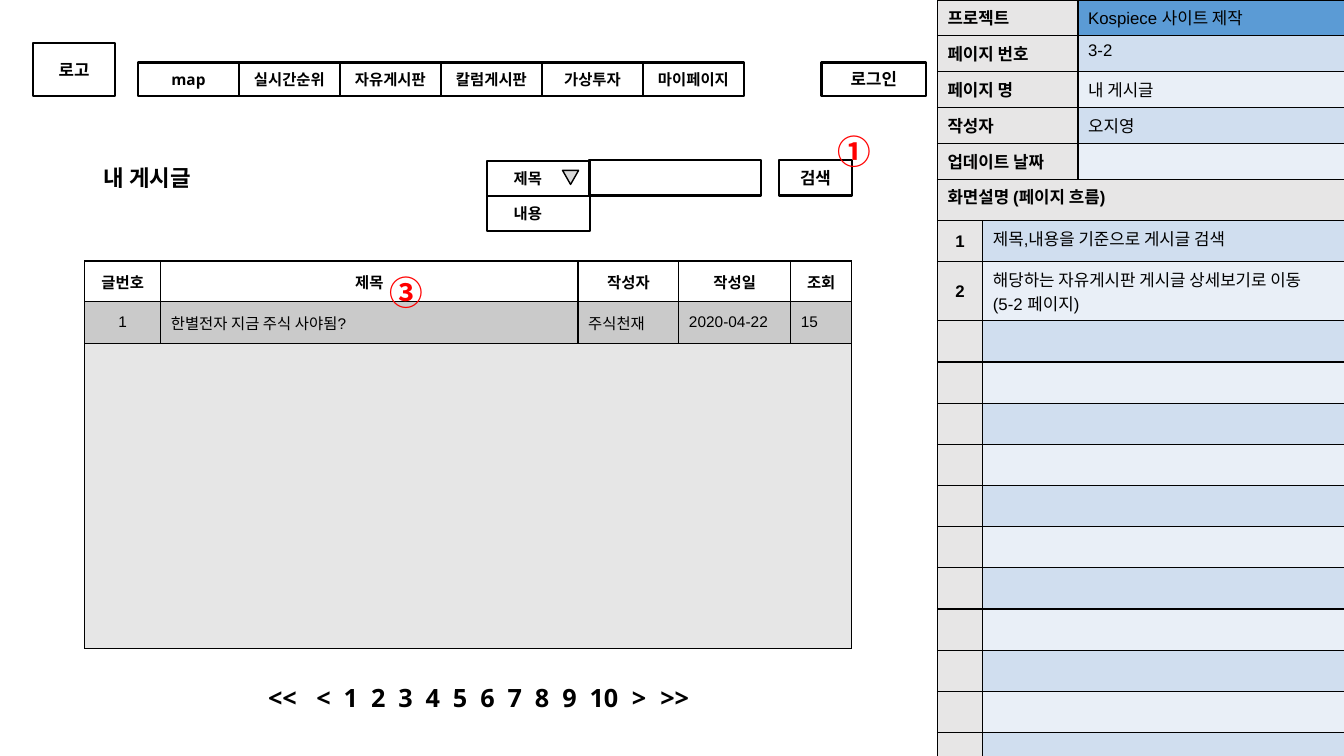
from dataclasses import dataclass

from lxml import etree
from pptx import Presentation
from pptx import util as u
from pptx.dml.color import RGBColor
from pptx.enum import shapes, text
from pptx.oxml import ns

# Grid: every column and row is a tenth of an inch
SLIDE_COLUMNS, SLIDE_ROWS = 133.33, 75

BLACK = RGBColor(0x00, 0x00, 0x00)
WHITE = RGBColor(0xFF, 0xFF, 0xFF)
RED = RGBColor(0xFF, 0x00, 0x00)
LABEL_GRAY = RGBColor(0xE7, 0xE6, 0xE6)
LIST_GRAY = RGBColor(0xE6, 0xE6, 0xE6)
POST_GRAY = RGBColor(0xCA, 0xCA, 0xCA)
ARROW_GRAY = RGBColor(0xD8, 0xD8, 0xD8)
TITLE_BLUE = RGBColor(0x5B, 0x9B, 0xD5)
BAND_DARK = RGBColor(0xD0, 0xDE, 0xEF)
BAND_LIGHT = RGBColor(0xE9, 0xEF, 0xF7)
BANDS = (BAND_DARK, BAND_LIGHT)

ARIAL, OPEN_SANS, KOREAN = "Arial", "Open Sans", "Noto Sans CJK KR"
LEFT, CENTER = text.PP_ALIGN.LEFT, text.PP_ALIGN.CENTER
TOP, MIDDLE = text.MSO_ANCHOR.TOP, text.MSO_ANCHOR.MIDDLE


@dataclass
class Style:
    size: float = 12
    font: str = OPEN_SANS
    bold: bool = True
    color: RGBColor = BLACK
    align: text.PP_ALIGN = CENTER
    anchor: text.MSO_ANCHOR = MIDDLE


@dataclass
class Box:
    words: str
    column: float
    row: float
    width: float
    height: float
    style: Style
    outlined: bool = True
    inset: float = 1
    inset_top: float = 1


@dataclass
class Cell:
    words: str
    fill: RGBColor
    style: Style


def grid(steps: float) -> int:
    return u.Inches(steps / 10)


def write(frame, words: str, style: Style) -> None:
    for index, line in enumerate(words.split("\n")):
        paragraph = frame.paragraphs[0] if index == 0 else frame.add_paragraph()
        paragraph.alignment = style.align
        if not line:
            end = etree.SubElement(paragraph._p, ns.qn("a:endParaRPr"))
            end.set("sz", str(style.size * 100))
            continue
        run = paragraph.add_run()
        run.text = line
        font = run.font
        font.size, font.bold, font.name = u.Pt(style.size), style.bold, style.font
        font.color.rgb = style.color
        east_asian = etree.SubElement(font._element, ns.qn("a:ea"))
        east_asian.set("typeface", KOREAN)


def draw_box(slide, box: Box):
    place = [grid(v) for v in (box.column, box.row, box.width, box.height)]
    if box.outlined:
        shape = slide.shapes.add_shape(shapes.MSO_SHAPE.RECTANGLE, *place)
        shape.shadow.inherit = False
        shape.fill.background()
        shape.line.color.rgb = BLACK
        shape.line.width = u.Pt(1.5)
    else:
        shape = slide.shapes.add_textbox(*place)
    frame = shape.text_frame
    frame.word_wrap = True
    frame.vertical_anchor = box.style.anchor
    frame.margin_left, frame.margin_right = grid(box.inset), grid(1)
    frame.margin_top = frame.margin_bottom = grid(box.inset_top)
    write(frame, box.words, box.style)
    return shape


def draw_borders(cell) -> None:
    properties = cell._tc.get_or_add_tcPr()
    for side in ("lnL", "lnR", "lnT", "lnB"):
        line = etree.SubElement(properties, ns.qn(f"a:{side}"), w=str(u.Pt(1)))
        solid = etree.SubElement(line, ns.qn("a:solidFill"))
        etree.SubElement(solid, ns.qn("a:srgbClr"), val=str(BLACK))


def draw_table(slide, column: float, row: float, widths: list[float],
               heights: list[float], cells: list[list[Cell]]) -> None:
    frame = slide.shapes.add_table(
        len(heights), len(widths), grid(column), grid(row),
        grid(sum(widths)), grid(sum(heights)))
    table = frame.table
    table.first_row = table.horz_banding = False
    for index, width in enumerate(widths):
        table.columns[index].width = grid(width)
    for r, (height, contents) in enumerate(zip(heights, cells)):
        table.rows[r].height = grid(height)
        # A row with a single cell spans the whole table
        if len(contents) == 1:
            table.cell(r, 0).merge(table.cell(r, len(widths) - 1))
        for c in range(len(widths)):
            cell, content = table.cell(r, c), contents[min(c, len(contents) - 1)]
            draw_borders(cell)
            cell.fill.solid()
            cell.fill.fore_color.rgb = content.fill
            if c < len(contents):
                cell.vertical_anchor = content.style.anchor
                write(cell.text_frame, content.words, content.style)


def draw_info(slide) -> None:
    label = Style(font=ARIAL, align=LEFT, anchor=TOP)
    body = Style(font=ARIAL, bold=False, align=LEFT, anchor=TOP)
    number = Style(font=ARIAL)

    # Project facts
    facts = [("프로젝트", "Kospiece 사이트 제작"), ("페이지 번호", "3-2"),
             ("페이지 명", "내 게시글"), ("작성자", "오지영"), ("업데이트 날짜", "")]
    fills = [TITLE_BLUE, *BANDS, *BANDS]
    draw_table(slide, 93, 0, [13.95, 26.4], [3.56] * 5,
               [[Cell(name, LABEL_GRAY, label), Cell(value, fill, body)]
                for (name, value), fill in zip(facts, fills)])

    # Page flow, with empty rows down to the bottom edge
    notes = ["제목,내용을 기준으로 게시글 검색",
             "해당하는 자유게시판 게시글 상세보기로 이동\n(5-2 페이지)"] + [""] * 11
    flow = [[Cell("화면설명 (페이지 흐름)", LABEL_GRAY, label)]]
    for index, note in enumerate(notes):
        flow.append([Cell(str(index + 1) if note else "", LABEL_GRAY, number),
                     Cell(note, BANDS[index % 2], body)])
    draw_table(slide, 93, 17.8, [4.5, 35.85],
               [4.09, 4.09, 5.85] + [4.09] * 10 + [3.2], flow)


def draw_posts(slide) -> None:
    heading = Style(11, ARIAL)
    entry = Style(11, ARIAL, bold=False, align=LEFT)
    number = Style(11, ARIAL, bold=False)
    headings = ["글번호", "제목", "작성자", "작성일", "조회"]
    post = ["1", "한별전자 지금 주식 사야됨?", "주식천재", "2020-04-22", "15"]
    draw_table(slide, 8.4, 25.9, [7.55, 41.4, 10, 11.1, 6.05], [4, 4.2, 30.25], [
        [Cell(words, WHITE, heading) for words in headings],
        [Cell(words, POST_GRAY, entry if index else number)
         for index, words in enumerate(post)],
        [Cell("", LIST_GRAY, entry)]])


def draw_search(slide) -> None:
    option = Style(11, align=LEFT)
    for box in (Box("검색", 77.3, 15.9, 7.2, 3.5, Style()),
                Box("제목", 48.3, 15.95, 10.2, 3.5, option, inset=2.65),
                Box("내용", 48.3, 19.45, 10.2, 3.5, option, inset=2.65),
                Box("", 58.4, 15.9, 17.1, 3.5, Style())):
        draw_box(slide, box)
    arrow = slide.shapes.add_shape(shapes.MSO_SHAPE.ISOSCELES_TRIANGLE,
                                   grid(55.8), grid(16.9), grid(1.6), grid(1.4))
    arrow.rotation = 180
    arrow.shadow.inherit = False
    arrow.fill.solid()
    arrow.fill.fore_color.rgb = ARROW_GRAY
    arrow.line.color.rgb = BLACK
    arrow.line.width = u.Pt(1)


def draw_pager(slide) -> None:
    pages = ["<<", "<", *map(str, range(1, 11)), ">", ">>"]
    stops = [4.8] + [7.5 + 2.71 * page for page in range(10)] + [36.1, 38.9]
    box = Box("", 23.1, 67.3, 48.8, 3.7, Style(18, align=LEFT), False, inset=3.5)
    frame = draw_box(slide, box).text_frame
    paragraph = frame.paragraphs[0]
    paragraph._p.remove(paragraph._p.find(ns.qn("a:endParaRPr")))
    tabs = etree.SubElement(paragraph._p.get_or_add_pPr(), ns.qn("a:tabLst"))
    for stop in stops:
        etree.SubElement(tabs, ns.qn("a:tab"), pos=str(grid(stop)), algn="l")
    write(frame, "\t".join(pages), box.style)


def main() -> None:
    presentation = Presentation()
    presentation.slide_width = grid(SLIDE_COLUMNS)
    presentation.slide_height = grid(SLIDE_ROWS)
    slide = presentation.slides.add_slide(presentation.slide_layouts[6])

    draw_info(slide)
    draw_box(slide, Box("내 게시글", 9.3, 15.8, 18.7, 3.7, Style(16, align=LEFT), False))
    draw_search(slide)
    draw_posts(slide)
    draw_pager(slide)

    # Header and menu
    draw_box(slide, Box("로고", 3.3, 4.3, 8.1, 5.2, Style()))
    draw_box(slide, Box("로그인", 81.5, 6.2, 10.4, 3.3, Style()))
    menu = ["map", "실시간순위", "자유게시판", "칼럼게시판", "가상투자", "마이페이지"]
    for index, words in enumerate(menu):
        draw_box(slide, Box(words, 13.7 + 10.02 * index, 6.2, 10, 3.3, Style(11)))

    # Numbered markers
    marker = Style(24, KOREAN, color=RED, align=LEFT, anchor=TOP)
    for words, column, row in (("①", 82.1, 12.5), ("③", 37.7, 26.5)):
        draw_box(slide, Box(words, column, row, 6, 5, marker, False, inset_top=0.5))

    presentation.save("out.pptx")


if __name__ == "__main__":
    main()
